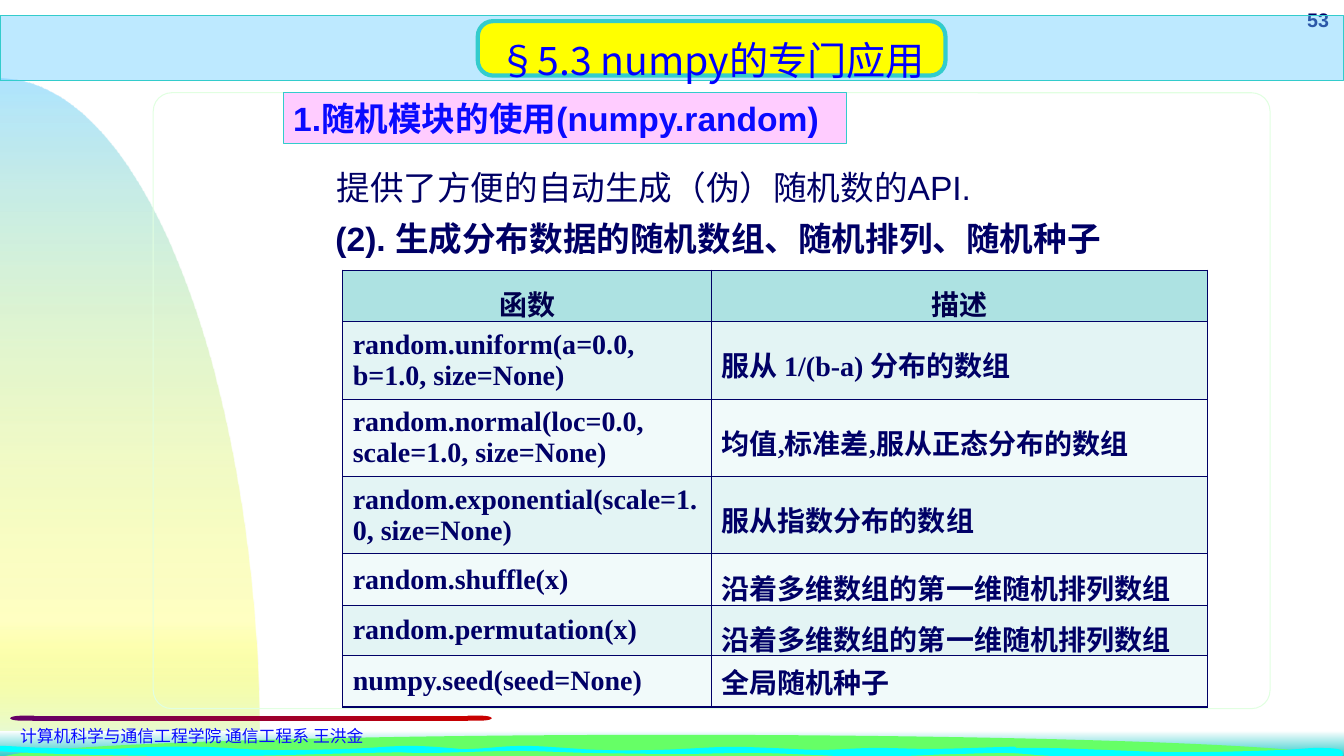
from lxml.etree import SubElement
from pptx import Presentation
from pptx.dml.color import RGBColor
from pptx.enum.shapes import MSO_SHAPE
from pptx.enum.text import MSO_ANCHOR, PP_ALIGN
from pptx.oxml.ns import qn
from pptx.util import Inches, Pt

WIDTH, HEIGHT = 40 / 3, 7.5
NAVY, BLUE, TEAL, PURPLE, RED = "000066", "0A0AFF", "33CCCC", "660066", "C80000"
CJK_FONT = "Noto Sans CJK SC"

FUNCTION_ROWS = [
    ("函数", "描述"),
    ("random.uniform(a=0.0, b=1.0, size=None)", "服从 1/(b-a) 分布的数组"),
    ("random.normal(loc=0.0, scale=1.0, size=None)", "均值,标准差,服从正态分布的数组"),
    ("random.exponential(scale=1.0, size=None)", "服从指数分布的数组"),
    ("random.shuffle(x)", "沿着多维数组的第一维随机排列数组"),
    ("random.permutation(x)", "沿着多维数组的第一维随机排列数组"),
    ("numpy.seed(seed=None)", "全局随机种子"),
]
ROW_HEIGHTS = [0.51, 0.77, 0.76, 0.76, 0.51, 0.5, 0.51]

# Outline points of the three water ripples, from right to left
RIPPLES = [
    [(9.7, 7.43), (10.36, 7.42), (10.97, 7.44), (11.53, 7.46), (12.03, 7.46), (12.73, 7.44),
     (13.06, 7.42), (13.3, 7.44), (13.29, 7.53), (13.09, 7.51), (12.57, 7.51), (12.07, 7.5),
     (11.33, 7.52), (10.46, 7.5), (9.99, 7.47), (9.37, 7.48)],
    [(10.07, 7.41), (10.03, 7.45), (9.44, 7.48), (8.64, 7.51), (8.09, 7.49), (7.49, 7.47),
     (6.73, 7.48), (5.85, 7.47), (5.12, 7.45), (4.28, 7.47), (3.98, 7.46), (4.14, 7.44),
     (4.68, 7.43), (5.22, 7.4), (5.94, 7.44), (6.54, 7.44), (7.2, 7.41), (7.64, 7.42),
     (8.14, 7.44), (8.67, 7.42), (9.26, 7.43), (9.97, 7.41)],
    [(4.34, 7.46), (3.62, 7.47), (2.3, 7.5), (0.98, 7.49), (-0.04, 7.45), (-0.04, 7.4),
     (0.45, 7.42), (1.06, 7.43), (1.53, 7.41), (2.04, 7.41), (2.66, 7.44), (3.44, 7.43),
     (4.03, 7.4), (4.45, 7.42), (4.67, 7.45)],
]


def color(hex_string):
    return RGBColor.from_string(hex_string)


def add_tint(parent, hex_string, alpha=100):
    tint = SubElement(parent, qn("a:srgbClr"), val=hex_string)
    if alpha < 100:
        SubElement(tint, qn("a:alpha"), val=str(alpha * 1000))


def paint(shape, fill=None, alpha=100, line=None, weight=0.75):
    """Set a solid fill with its opacity and the outline; None means absent."""
    shape.shadow.inherit = False
    if fill:
        shape.fill.solid()
        shape.fill.fore_color.rgb = color(fill)
        if alpha < 100:
            tint = shape.fill._xPr.find(qn("a:solidFill"))[0]
            SubElement(tint, qn("a:alpha"), val=str(alpha * 1000))
    else:
        shape.fill.background()
    if line:
        shape.line.color.rgb = color(line)
        shape.line.width = Pt(weight)
    else:
        shape.line.fill.background()
    return shape


def paint_gradient(shape, stops, angle):
    """Fill with (position, colour, opacity) stops; 90 degrees runs downward."""
    paint(shape)
    shape.fill.gradient()
    gradient = shape.fill._xPr.find(qn("a:gradFill"))
    for child in list(gradient):
        gradient.remove(child)
    stop_list = SubElement(gradient, qn("a:gsLst"))
    for position, hex_string, alpha in stops:
        add_tint(SubElement(stop_list, qn("a:gs"), pos=str(position * 1000)), hex_string, alpha)
    SubElement(gradient, qn("a:lin"), ang=str(angle * 60000), scaled="0")


def add_box(shapes, kind, box, radius=None, **look):
    shape = shapes.add_shape(kind, *map(Inches, box))
    if radius is not None:
        shape.adjustments[0] = radius
    return paint(shape, **look)


def add_curve(shapes, points, corners=()):
    """Closed outline: a start, three points for each Bezier curve, then straight corners."""
    start, *rest = [(Inches(x), Inches(y)) for x, y in [*points, *corners]]
    builder = shapes.build_freeform(*start, scale=1.0)
    builder.add_line_segments(rest, close=True)
    shape = builder.convert_to_shape()
    segments = list(shape._element.iter(qn("a:lnTo")))[:len(points) - 1]
    for first, second, third in zip(segments[::3], segments[1::3], segments[2::3]):
        curve = first.getparent().makeelement(qn("a:cubicBezTo"))
        first.addprevious(curve)
        for segment in (first, second, third):
            curve.append(segment[0])
            segment.getparent().remove(segment)
    return shape


def smooth_loop(points):
    """Bezier points of a smooth curve through a closed ring."""
    curve = [points[0]]
    for index in range(len(points)):
        a, b, c, d = [points[(index + offset) % len(points)] for offset in (-1, 0, 1, 2)]
        curve += [(b[0] + (c[0] - a[0]) / 6, b[1] + (c[1] - a[1]) / 6),
                  (c[0] - (d[0] - b[0]) / 6, c[1] - (d[1] - b[1]) / 6), c]
    return curve


def write(frame, text, size, font="Arial", tint=NAVY, bold=False, align=PP_ALIGN.LEFT,
          spacing=None, anchor=MSO_ANCHOR.TOP):
    """Write one paragraph; text may be a list of (text, font) pairs."""
    frame.word_wrap = True
    frame.vertical_anchor = anchor
    paragraph = frame.paragraphs[0]
    paragraph.alignment = align
    if spacing:
        paragraph.line_spacing = spacing
    for words, face in [(text, font)] if isinstance(text, str) else text:
        run = paragraph.add_run()
        run.text = words
        run.font.size, run.font.bold, run.font.name = Pt(size), bold, face
        run.font.color.rgb = color(tint)
        SubElement(run.font._element, qn("a:ea"), typeface=CJK_FONT)


def add_text(shapes, box, text, size, **style):
    write(shapes.add_textbox(*map(Inches, box)).text_frame, text, size, **style)


def add_scenery(shapes, width, height):
    """Tinted hill at the left, and the green bank with water at the bottom."""
    hill = add_curve(shapes, [(0, 0.78), (1.42, 0.78), (2.57, 3.79), (2.57, height)],
                     [(0, height)])
    paint_gradient(hill, [(0, "66CCFF", 52), (80, "FFFF00", 23), (100, "DFF9F9", 100)], 90)
    water = add_box(shapes, MSO_SHAPE.RECTANGLE, (0, height - 0.25, width, 0.25))
    paint_gradient(water, [(0, "FFFFFF", 100), (100, TEAL, 100)], 90)
    bank = add_curve(shapes, [(0, 7.53), (0, 7.4), (2.98, 7.29), (6.66, 7.29),
                              (10.34, 7.29), (13.32, 7.4), (13.32, 7.53)])
    paint(bank, fill="66FF66")
    ripples = shapes.add_group_shape().shapes
    for points in RIPPLES:
        paint(add_curve(ripples, smooth_loop(points)), fill="00FFFF")


def add_footer(shapes, left, top):
    rule = shapes.add_group_shape().shapes
    bar = add_box(rule, MSO_SHAPE.ROUNDED_RECTANGLE, (left + 0.22, top, 4.32, 0.05), radius=0)
    paint_gradient(bar, [(0, PURPLE, 100), (100, RED, 100)], 0)
    for offset, fill, flip in ((0, PURPLE, "flipH"), (4.54, RED, "flipV")):
        cap = add_box(rule, MSO_SHAPE.FLOWCHART_DELAY, (left + offset, top, 0.24, 0.05), fill=fill)
        cap._element.spPr.xfrm.set(flip, "1")
    add_text(shapes, (left, top + 0.05, 4.88, 0.3),
             [("计算机科学与通信工程学院 通信工程系 ", "Arial"), ("王洪金", CJK_FONT)], 12, tint=BLUE)


def add_header(shapes, width):
    add_text(shapes, (width - 0.89, 0.03, 0.84, 0.33), "53", 14, bold=True, align=PP_ALIGN.RIGHT)
    add_box(shapes, MSO_SHAPE.ROUNDED_RECTANGLE, (1.52, 0.92, 11.08, 6.11), 0.03, line="E1FFE1")
    add_box(shapes, MSO_SHAPE.RECTANGLE, (0, 0.15, width, 0.65),
            fill="66CCFF", alpha=43, line=TEAL)


def add_section_text(shapes, left, top):
    heading = add_box(shapes, MSO_SHAPE.RECTANGLE, (left, top, 5.59, 0.5),
                      fill="FFCCFF", line=TEAL)
    write(heading.text_frame, "1.随机模块的使用(numpy.random)", 24, tint=BLUE, bold=True)
    add_text(shapes, (left + 0.43, top + 0.63, 8.54, 0.52),
             "提供了方便的自动生成（伪）随机数的API.", 24, spacing=1.15)


def add_title(shapes, box):
    title = add_box(shapes, MSO_SHAPE.ROUNDED_RECTANGLE, box, 0.28,
                    fill="FFFF00", line=TEAL, weight=3)
    write(title.text_frame, "§5.3 numpy的专门应用", 28, font=CJK_FONT, tint="0000FF",
          align=PP_ALIGN.CENTER, spacing=1.5, anchor=MSO_ANCHOR.MIDDLE)


def add_function_table(shapes, left, top, widths):
    box = (left, top, sum(widths), sum(ROW_HEIGHTS))
    table = shapes.add_table(len(FUNCTION_ROWS), len(widths), *map(Inches, box)).table
    for column, width in zip(table.columns, widths):
        column.width = Inches(width)
    for row_index, texts in enumerate(FUNCTION_ROWS):
        table.rows[row_index].height = Inches(ROW_HEIGHTS[row_index])
        header, last = row_index == 0, row_index == len(FUNCTION_ROWS) - 1
        for column_index, text in enumerate(texts):
            cell = table.cell(row_index, column_index)
            spaced = header or (column_index == 1 and not last)
            write(cell.text_frame, text, 20, font="Times New Roman", bold=True,
                  tint="00004D" if header else NAVY, spacing=1.2 if spaced else None,
                  align=PP_ALIGN.CENTER if header else PP_ALIGN.LEFT)
            cell.vertical_anchor = MSO_ANCHOR.TOP if header else MSO_ANCHOR.MIDDLE
            properties = cell._tc.get_or_add_tcPr()
            for side in ("lnL", "lnR", "lnT", "lnB"):
                border = SubElement(properties, qn("a:" + side), w=str(Pt(1)))
                add_tint(SubElement(border, qn("a:solidFill")), NAVY)
            cell.fill.solid()
            band = "E3F4F4" if row_index % 2 else "F1FAFA"
            cell.fill.fore_color.rgb = color("ADE2E2" if header else band)


def main():
    presentation = Presentation()
    presentation.slide_width, presentation.slide_height = Inches(WIDTH), Inches(HEIGHT)
    shapes = presentation.slides.add_slide(presentation.slide_layouts[6]).shapes
    add_scenery(shapes, WIDTH, HEIGHT)
    add_footer(shapes, 0.1, 7.1)
    add_header(shapes, WIDTH)
    add_section_text(shapes, 2.81, 0.92)
    add_title(shapes, (4.74, 0.21, 4.64, 0.54))
    add_function_table(shapes, 3.4, 2.68, (3.66, 4.92))
    add_text(shapes, (3.23, 2.11, 7.96, 0.5),
             "(2). 生成分布数据的随机数组、随机排列、随机种子", 24, bold=True)
    presentation.save("out.pptx")


if __name__ == "__main__":
    main()
